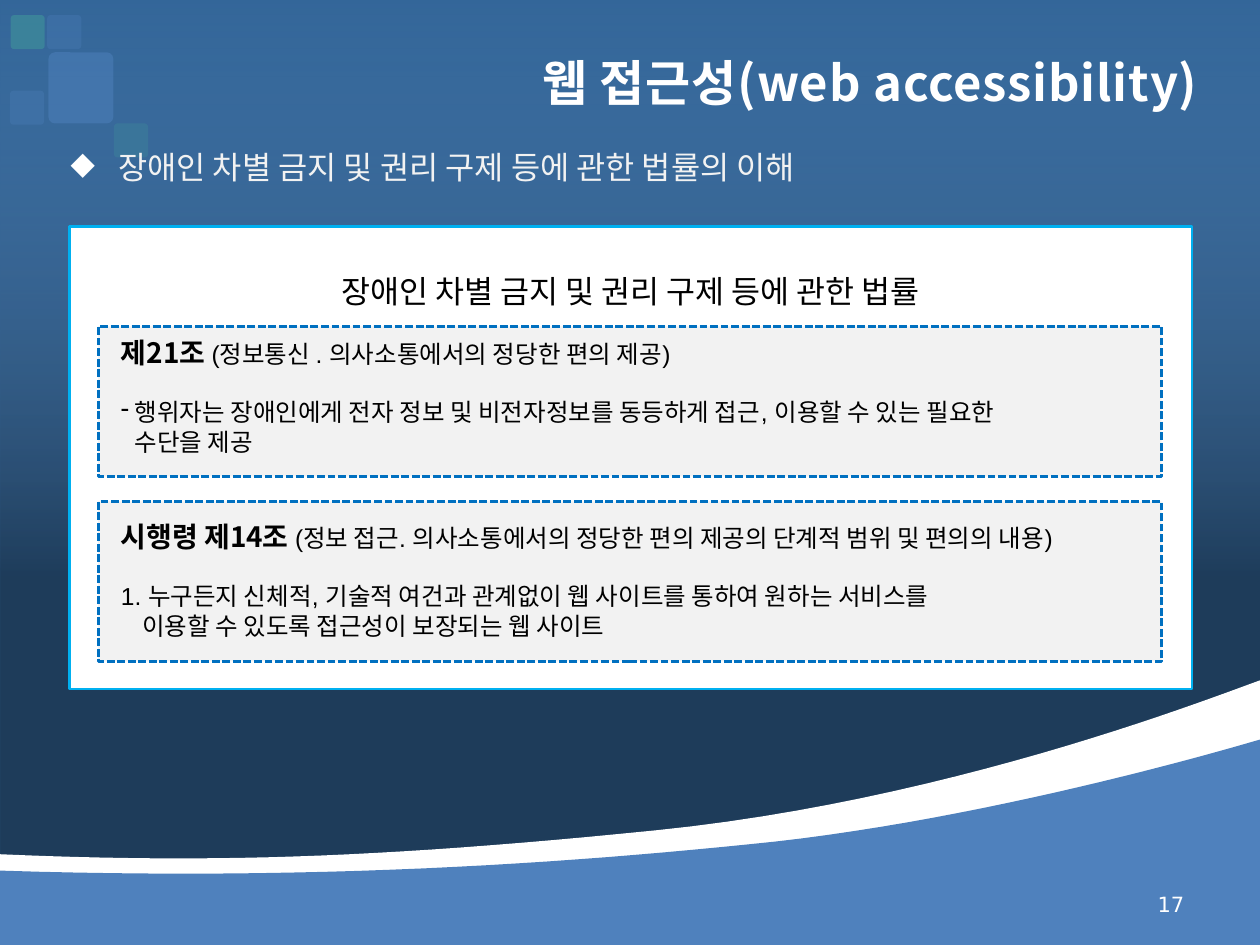
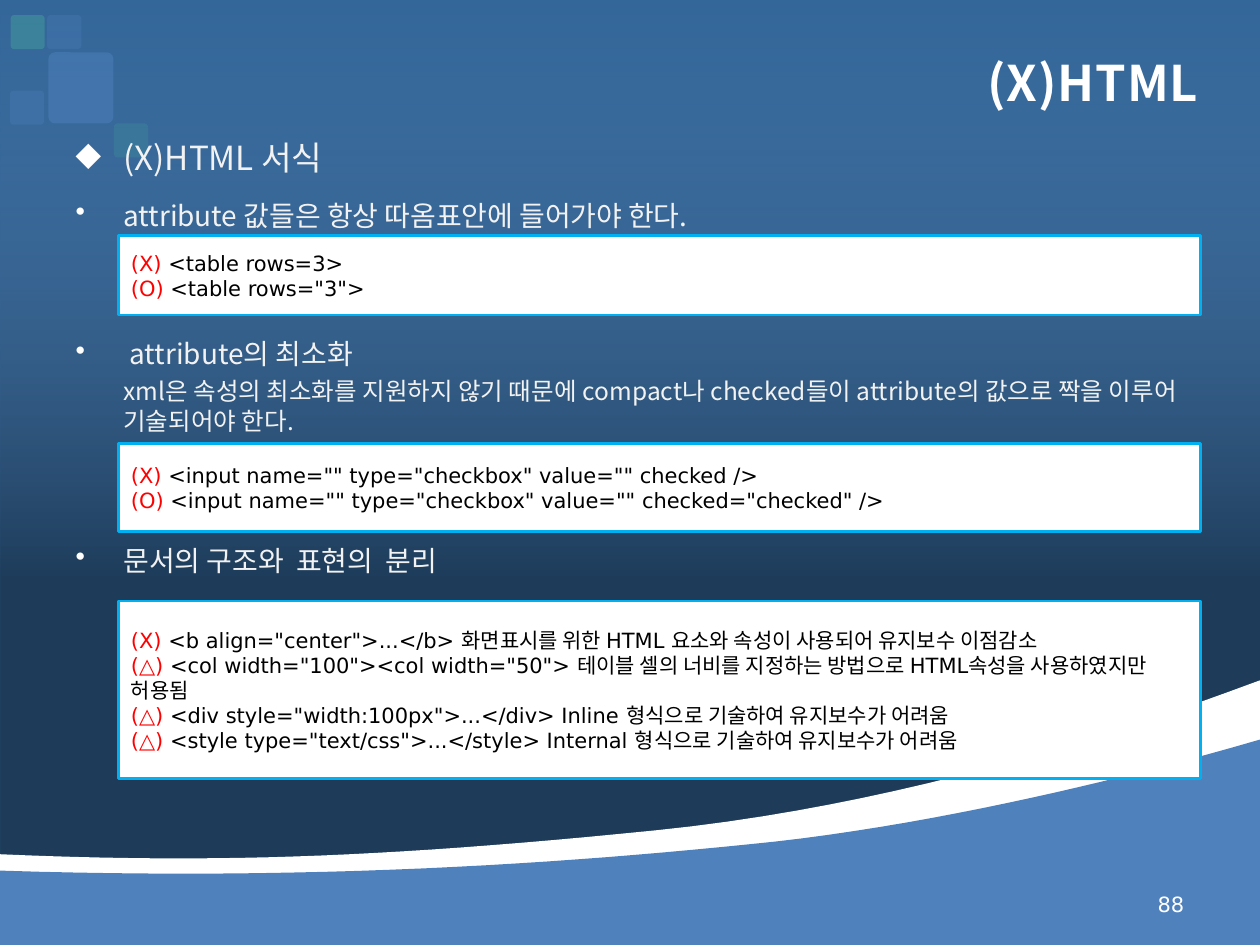
from lxml import etree
from pptx import Presentation
from pptx import util as u
from pptx.dml.color import RGBColor
from pptx.enum import dml, shapes, text
from pptx.oxml.ns import qn

SANS, ARIAL, CODE = "Noto Sans CJK KR", "Arial", "DejaVu Sans"
WHITE, BLACK, RED, PALE = "FFFFFF", "000000", "FF0000", "F2F2F2"
SKY, BLUE, WAVE, TEAL, NAVY = "00B0F0", "0070C0", "4F81BD", "3F949A", "336699"
LEFT, RIGHT, CENTER = text.PP_ALIGN.LEFT, text.PP_ALIGN.RIGHT, text.PP_ALIGN.CENTER
INDENT = 3.8

WAVES = [
    (WHITE, (0, 67.8), [((16.1, 68.5), (29.3, 68.2), (52.1, 65.9)),
                        ((74.8, 63.6), (94.8, 55.9), (100, 54))]),
    (WAVE, (0, 69.1), [((24.6, 69.9), (44.5, 68.6), (61.5, 66.8)),
                       ((78.4, 64.9), (95.9, 59.9), (100, 58.7))]),
]
TILES = [
    (3.75, 1.2, 2.7, 2.7, WAVE, 30),
    (0.8, 7.2, 2.7, 2.7, WAVE, 30),
    (0.85, 1.2, 2.7, 2.7, TEAL, 60),
    (9.05, 9.8, 2.7, 2.7, TEAL, 30),
    (3.85, 4.15, 5.15, 5.65, WAVE, 50),
]


def color(value):
    return RGBColor.from_string(value)


def bezier(start, first, second, end, steps=24):
    for step in range(1, steps + 1):
        t = step / steps
        weights = ((1 - t) ** 3, 3 * t * (1 - t) ** 2, 3 * t * t * (1 - t), t ** 3)
        points = (start, first, second, end)
        yield tuple(sum(w * point[axis] for w, point in zip(weights, points)) for axis in (0, 1))


class Painter:
    def __init__(self):
        self.deck = Presentation()
        self.deck.slide_width, self.deck.slide_height = u.Inches(10), u.Inches(7.5)
        self.unit = self.deck.slide_width / 100
        self.page = None

    def grid(self, *cells):
        return [u.Emu(round(cell * self.unit)) for cell in cells]

    def start_page(self, title, number):
        self.page = self.deck.slides.add_slide(self.deck.slide_layouts[6])
        backdrop = self.page.background.fill
        backdrop.solid()
        backdrop.fore_color.rgb = color(NAVY)
        self.shade()
        for wave in WAVES:
            self.wave(*wave)
        for left, top, width, height, fill, opacity in TILES:
            tile = self.box(left, top, width, height, fill, shape=shapes.MSO_SHAPE.ROUNDED_RECTANGLE)
            tile.adjustments[0] = 0.1
            self.set_opacity(tile, [opacity])
        heading = self.text(6, 6.2, 89.1, 36, 28, align=RIGHT)
        span = self.span(heading, title, SANS, 28, WHITE, bold=True)
        span.font._element.set("spc", "50")
        footer = self.text(72.7, 71.6, 21.3, 15, 12, align=RIGHT)
        self.span(footer, number, CODE, 12, WHITE)

    def set_opacity(self, shape, levels):
        for node, level in zip(shape._element.spPr.iter(qn("a:srgbClr")), levels):
            etree.SubElement(node, qn("a:alpha")).set("val", str(level * 1000))

    def shade(self):
        shade = self.box(0, 0, 100, 75, NAVY)
        shade.fill.gradient()
        shade.fill.gradient_angle = 270
        for stop, (position, tone) in zip(shade.fill.gradient_stops, [(0, "8DB3E2"), (0.61, BLACK)]):
            stop.position = position
            stop.color.rgb = color(tone)
        self.set_opacity(shade, [0, 40])

    def wave(self, fill, start, curves):
        points, last = [], start
        for curve in curves:
            points += bezier(last, *curve)
            last = curve[-1]
        points += [(100, 75), (0, 75)]
        outline = self.page.shapes.build_freeform(*self.grid(*start), scale=1.0)
        outline.add_line_segments([self.grid(*point) for point in points], close=True)
        self.finish(outline.convert_to_shape(), fill)

    def finish(self, shape, fill, line=None, dash=None):
        shape.shadow.inherit = False
        shape.fill.solid()
        shape.fill.fore_color.rgb = color(fill)
        if line:
            shape.line.color.rgb = color(line)
            shape.line.width = u.Pt(1.5)
            if dash:
                shape.line.dash_style = dash
        else:
            shape.line.fill.background()

    def box(self, left, top, width, height, fill, line=None, dash=None,
            shape=shapes.MSO_SHAPE.RECTANGLE):
        box = self.page.shapes.add_shape(shape, *self.grid(left, top, width, height))
        self.finish(box, fill, line, dash)
        return box

    def text(self, left, middle, width, pitch, size, lines=1, align=LEFT):
        top = middle - (pitch - 0.67 * size) / 7.2
        box = self.page.shapes.add_textbox(*self.grid(left, top, width, lines * pitch / 7.2))
        frame = box.text_frame
        frame.word_wrap = True
        frame.margin_left = frame.margin_right = frame.margin_top = frame.margin_bottom = 0
        return self.para(frame, pitch, align, first=True)

    def para(self, frame, pitch, align=LEFT, first=False, before=0, indent=0, bullet=None):
        para = frame.paragraphs[0] if first else frame.add_paragraph()
        para.alignment = align
        para.line_spacing, para.space_before = u.Pt(pitch), u.Pt(before)
        self.indent(para, indent, bullet)
        return para

    def indent(self, para, indent, bullet=None, tone=None):
        properties = para._p.get_or_add_pPr()
        margin = self.grid(indent)[0]
        properties.set("marL", str(margin))
        properties.set("indent", str(-margin if bullet else 0))
        if bullet and tone:
            paint = etree.SubElement(properties, qn("a:buClr"))
            etree.SubElement(paint, qn("a:srgbClr")).set("val", tone)
        if bullet:
            etree.SubElement(properties, qn("a:buChar")).set("char", bullet)

    def span(self, para, words, face, size, tone, bold=False):
        span = para.add_run()
        span.text = words
        span.font.name, span.font.size, span.font.bold = face, u.Pt(size), bold
        span.font.color.rgb = color(tone)
        korean = any("가" <= letter <= "힣" for letter in words)
        east = etree.SubElement(span.font._element, qn("a:ea"))
        east.set("typeface", SANS if korean else face)
        return span

    def bullet(self, left, middle, mark, words, size):
        para = self.text(left, middle, 95.1 - left, 24, size)
        self.indent(para, INDENT, mark, WHITE)
        self.span(para, words, SANS, size, PALE)

    def article(self, top, height, middle, name, subject, lines):
        self.box(7.8, top, 84.4, height, PALE, BLUE, dml.MSO_LINE.SQUARE_DOT)
        heading = self.text(9.6, middle, 81, 20, 16, lines=4)
        self.span(heading, name, SANS, 16, BLACK, bold=True)
        self.span(heading, subject, ARIAL, 14, BLACK)
        frame = heading._parent
        for number, (words, indent, mark) in enumerate(lines):
            para = self.para(frame, 17, before=0 if number else 16, indent=indent, bullet=mark)
            self.span(para, words, ARIAL, 14, BLACK)

    def code(self, top, height, lines):
        box = self.box(9.4, top, 85.9, height, WHITE, SKY)
        frame = box.text_frame
        frame.word_wrap = True
        frame.vertical_anchor = text.MSO_ANCHOR.MIDDLE
        for number, (verdict, sample) in enumerate(lines):
            para = self.para(frame, 14.3, first=number == 0)
            self.span(para, f"({verdict}) ", CODE, 12, RED)
            self.span(para, sample, CODE, 12, BLACK)


def accessibility_page(painter):
    painter.start_page("웹 접근성(web accessibility)", "17")
    painter.bullet(5.6, 13.1, "◆", "장애인 차별 금지 및 권리 구제 등에 관한 법률의 이해", 18.1)
    painter.box(5.5, 18, 89.1, 36.7, WHITE, SKY)
    law = painter.text(5.5, 22.9, 89.1, 24, 18, align=CENTER)
    painter.span(law, "장애인 차별 금지 및 권리 구제 등에 관한 법률", SANS, 18, BLACK)
    painter.article(25.9, 11.9, 27.8, "제21조 ", "(정보통신 . 의사소통에서의 정당한 편의 제공)", [
        ("행위자는 장애인에게 전자 정보 및 비전자정보를 동등하게 접근, 이용할 수 있는 필요한", 1.1, "-"),
        ("수단을 제공", 1.1, None),
    ])
    painter.article(39.8, 12.7, 42.4, "시행령 제14조 ",
                    "(정보 접근. 의사소통에서의 정당한 편의 제공의 단계적 범위 및 편의의 내용)", [
        ("1. 누구든지 신체적, 기술적 여건과 관계없이 웹 사이트를 통하여 원하는 서비스를", 0, None),
        ("이용할 수 있도록 접근성이 보장되는 웹 사이트", 1.7, None),
    ])


def xhtml_page(painter):
    painter.start_page("(X)HTML", "88")
    painter.bullet(6, 12.3, "◆", "(X)HTML 서식", 19)
    painter.bullet(6, 16.9, "•", "attribute 값들은 항상 따옴표안에 들어가야 한다.", 16)
    painter.bullet(6, 27.9, "•", " attribute의 최소화", 16)
    note = painter.text(9.8, 30.9, 85.3, 17, 14, lines=2)
    painter.span(note, "xml은 속성의 최소화를 지원하지 않기 때문에 compact나 checked들이 "
                 "attribute의 값으로 짝을 이루어 기술되어야 한다.", SANS, 14, PALE)
    painter.bullet(6, 44.3, "•", "문서의 구조와  표현의  분리", 16)
    painter.code(18.7, 6.3, [("X", "<table rows=3>"), ("O", '<table rows="3">')])
    painter.code(35.2, 7, [
        ("X", '<input name="" type="checkbox" value="" checked />'),
        ("O", '<input name="" type="checkbox" value="" checked="checked" />'),
    ])
    painter.code(47.7, 14.1, [
        ("X", '<b align="center">...</b> 화면표시를 위한 HTML 요소와 속성이 사용되어 유지보수 이점감소'),
        ("△", '<col width="100"><col width="50"> 테이블 셀의 너비를 지정하는 방법으로 '
              "HTML속성을 사용하였지만 허용됨"),
        ("△", '<div style="width:100px">...</div> Inline 형식으로 기술하여 유지보수가 어려움'),
        ("△", '<style type="text/css">...</style> Internal 형식으로 기술하여 유지보수가 어려움'),
    ])


def main():
    painter = Painter()
    accessibility_page(painter)
    xhtml_page(painter)
    painter.deck.save("out.pptx")


if __name__ == "__main__":
    main()
